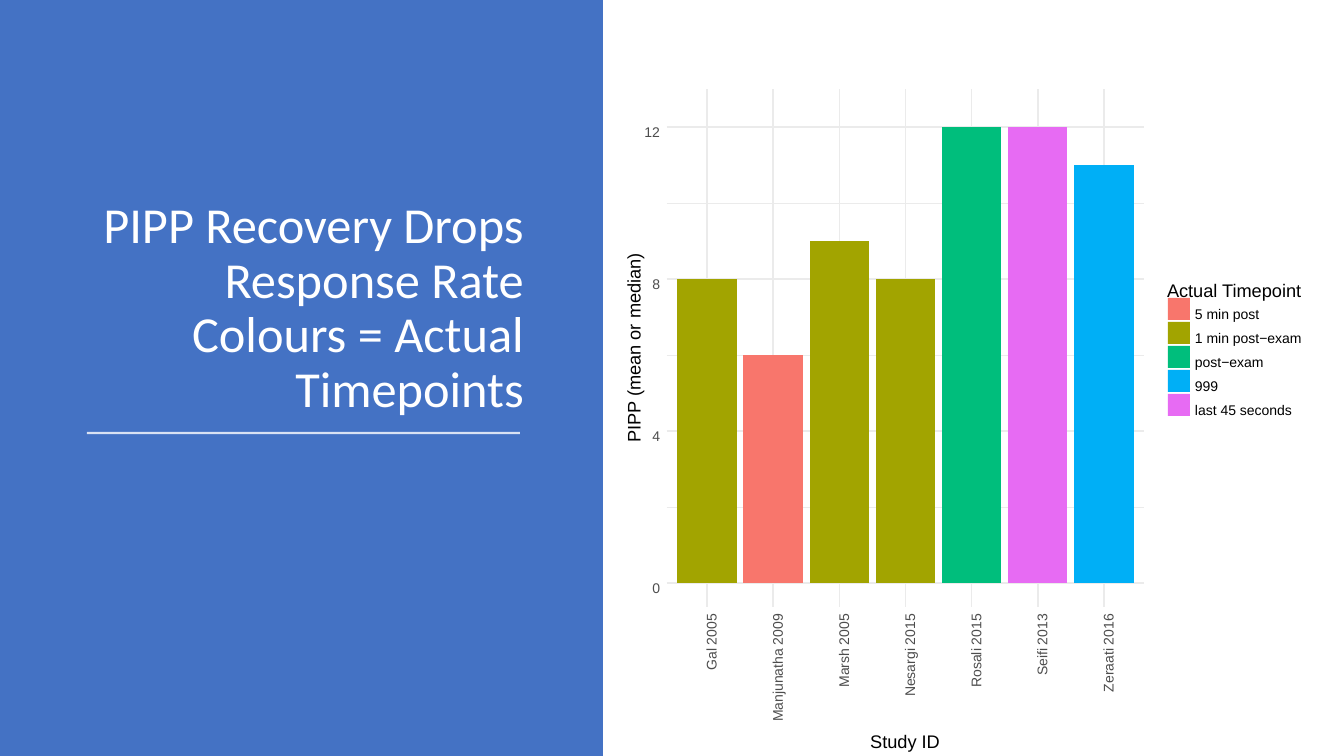
from dataclasses import dataclass

from lxml import etree
from pptx import Presentation
from pptx.chart.data import CategoryChartData
from pptx.dml.color import RGBColor
from pptx.enum.chart import XL_CHART_TYPE
from pptx.enum.shapes import MSO_CONNECTOR, MSO_SHAPE
from pptx.enum.text import MSO_ANCHOR, PP_ALIGN
from pptx.oxml import parse_xml
from pptx.oxml.ns import nsdecls, qn
from pptx.util import Pt

COLUMNS = XL_CHART_TYPE.COLUMN_CLUSTERED
STRAIGHT = MSO_CONNECTOR.STRAIGHT
RECTANGLE = MSO_SHAPE.RECTANGLE
TOP, BOTTOM = MSO_ANCHOR.TOP, MSO_ANCHOR.BOTTOM
LEFT, CENTER, RIGHT = PP_ALIGN.LEFT, PP_ALIGN.CENTER, PP_ALIGN.RIGHT
EMU_PER_PX = 914400 / 100.8


@dataclass(frozen=True)
class Theme:
    panel: str = "4472C4"
    white: str = "FFFFFF"
    black: str = "000000"
    muted: str = "4D4D4D"
    grid: str = "EBEBEB"
    title_font: str = "Calibri"
    chart_font: str = "Arial"
    title_size: int = 36
    axis_title_size: int = 13
    label_size: int = 10
    rule_width: float = 1.5
    major_width: float = 1.07
    minor_width: float = 0.53


TIMEPOINT_COLOURS = {
    "5 min post": "F8766C",
    "1 min post−exam": "A2A400",
    "post−exam": "00BE7C",
    "999": "00AFF6",
    "last 45 seconds": "E76BF3",
}
STUDIES = [
    ("Gal 2005", 8, "1 min post−exam"),
    ("Manjunatha 2009", 6, "5 min post"),
    ("Marsh 2005", 9, "1 min post−exam"),
    ("Nesargi 2015", 8, "1 min post−exam"),
    ("Rosali 2015", 12, "post−exam"),
    ("Seifi 2013", 12, "last 45 seconds"),
    ("Zeraati 2016", 11, "999"),
]

AXIS_MAX = 13
UNIT = 38
BASELINE = 583
PLOT_LEFT, PLOT_WIDTH = 674, 463
PLOT_TOP = BASELINE - AXIS_MAX * UNIT
GRID_LEFT, GRID_RIGHT, GRID_BOTTOM = 667, 1144, 607


def px(length):
    return round(length * EMU_PER_PX)


class SlideBuilder:
    def __init__(self, slide, theme):
        self.slide = slide
        self.theme = theme

    def block(self, left, top, width, height, colour):
        block = self.slide.shapes.add_shape(
            RECTANGLE, px(left), px(top), px(width), px(height))
        block.shadow.inherit = False
        block.fill.solid()
        block.fill.fore_color.rgb = RGBColor.from_string(colour)
        block.line.fill.background()

    def line(self, start, end, colour, width, opacity=100):
        line = self.slide.shapes.add_connector(
            STRAIGHT, px(start[0]), px(start[1]), px(end[0]), px(end[1]))
        line.line.color.rgb = RGBColor.from_string(colour)
        line.line.width = Pt(width)
        properties = line._element.spPr
        etree.SubElement(properties, qn("a:effectLst"))
        if opacity < 100:
            tint = properties.find(".//" + qn("a:srgbClr"))
            etree.SubElement(tint, qn("a:alpha"), val=str(opacity * 1000))

    def text(self, words, left, top, width, height, *, size=None, colour=None,
             font=None, align=LEFT, anchor=TOP, spacing=1.07, inset=0, rotation=0):
        box = self.slide.shapes.add_textbox(px(left), px(top), px(width), px(height))
        box.rotation = rotation
        frame = box.text_frame
        frame.word_wrap = True
        frame.vertical_anchor = anchor
        frame.margin_left = frame.margin_right = px(inset)
        frame.margin_top = frame.margin_bottom = px(inset / 2)
        paragraph = frame.paragraphs[0]
        paragraph.alignment = align
        paragraph.line_spacing = spacing
        for index, words_in_line in enumerate(words.splitlines()):
            if index:
                paragraph.add_line_break()
            run = paragraph.add_run()
            run.text = words_in_line
            run.font.size = Pt(size or self.theme.label_size)
            run.font.name = font or self.theme.chart_font
            run.font.color.rgb = RGBColor.from_string(colour or self.theme.black)

    def upright_text(self, words, center_x, center_y, length, height, **style):
        self.text(words, center_x - length / 2, center_y - height / 2,
                  length, height, rotation=270, **style)

    def columns(self, left, top, width, height):
        data = CategoryChartData(number_format="0")
        data.categories = [study for study, _, _ in STUDIES]
        for timepoint in TIMEPOINT_COLOURS:
            data.add_series(timepoint, [
                score if group == timepoint else None for _, score, group in STUDIES])
        chart = self.slide.shapes.add_chart(
            COLUMNS, px(left), px(top), px(width), px(height), data).chart
        chart.has_legend = False
        chart.has_title = False
        chart.font.name = self.theme.chart_font
        chart.font.size = Pt(self.theme.label_size)
        chart.font.color.rgb = RGBColor.from_string(self.theme.muted)
        chart.value_axis.minimum_scale = 0
        chart.value_axis.maximum_scale = AXIS_MAX
        chart.value_axis.major_unit = 4
        chart.value_axis.has_major_gridlines = False
        chart.value_axis.visible = False
        chart.category_axis.visible = False
        plot = chart.plots[0]
        plot.vary_by_categories = False
        plot.overlap = 100
        plot.gap_width = 11
        for series, colour in zip(plot.series, TIMEPOINT_COLOURS.values()):
            series.format.fill.solid()
            series.format.fill.fore_color.rgb = RGBColor.from_string(colour)
        self.fill_frame(chart)

    def fill_frame(self, chart):
        clear = (f'<c:spPr {nsdecls("c", "a")}><a:noFill/>'
                 '<a:ln><a:noFill/></a:ln></c:spPr>')
        body = chart._chartSpace.find(qn("c:chart"))
        body.addnext(parse_xml(clear))
        area = body.find(qn("c:plotArea"))
        area.append(parse_xml(clear))
        for old_layout in area.findall(qn("c:layout")):
            area.remove(old_layout)
        area.insert(0, parse_xml(
            f'<c:layout {nsdecls("c")}><c:manualLayout><c:layoutTarget val="inner"/>'
            '<c:xMode val="edge"/><c:yMode val="edge"/><c:x val="0"/><c:y val="0"/>'
            '<c:w val="1"/><c:h val="1"/></c:manualLayout></c:layout>'))


def add_title_panel(builder):
    theme = builder.theme
    builder.block(0, 0, 603, 756, theme.panel)
    builder.line((87, 433), (520, 433), theme.white, theme.rule_width, opacity=80)
    builder.text("""PIPP Recovery Drops Response Rate
Colours = Actual Timepoints""", 70, 89, 464, 334, size=theme.title_size,
                 colour=theme.white, font=theme.title_font, align=RIGHT,
                 anchor=BOTTOM, spacing=0.9, inset=10)


def add_response_chart(builder):
    theme = builder.theme
    pitch = PLOT_WIDTH / len(STUDIES)
    centers = [PLOT_LEFT + pitch * (index + 0.5) for index in range(len(STUDIES))]
    for score in range(0, AXIS_MAX, 2):
        level = BASELINE - score * UNIT
        is_major = score % 4 == 0
        builder.line((GRID_LEFT, level), (GRID_RIGHT, level), theme.grid,
                     theme.major_width if is_major else theme.minor_width)
        if is_major:
            builder.text(str(score), 630, level - 5, 30, 17,
                         colour=theme.muted, align=RIGHT)
    for center in centers:
        builder.line((center, GRID_BOTTOM), (center, PLOT_TOP),
                     theme.grid, theme.major_width)
    builder.columns(PLOT_LEFT, PLOT_TOP, PLOT_WIDTH, BASELINE - PLOT_TOP)
    for (study, _, _), center in zip(STUDIES, centers):
        builder.upright_text(study, center + 3, 686, 144, 17,
                             colour=theme.muted, align=RIGHT)
    builder.text("Study ID", 855, 729, 100, 22,
                 size=theme.axis_title_size, align=CENTER)
    builder.upright_text("PIPP (mean or median)", 632, 348, 252, 22,
                         size=theme.axis_title_size, align=CENTER)


def add_timepoint_legend(builder):
    builder.text("Actual Timepoint", 1167, 278, 176, 22,
                 size=builder.theme.axis_title_size)
    for index, (timepoint, colour) in enumerate(TIMEPOINT_COLOURS.items()):
        row = 298 + 24 * index
        builder.block(1168, row, 22, 22, colour)
        builder.text(timepoint, 1195, row + 6, 145, 17)


def main():
    deck = Presentation()
    deck.slide_width, deck.slide_height = px(1344), px(756)
    builder = SlideBuilder(deck.slides.add_slide(deck.slide_layouts[6]), Theme())
    add_title_panel(builder)
    add_response_chart(builder)
    add_timepoint_legend(builder)
    deck.save("out.pptx")


if __name__ == "__main__":
    main()
